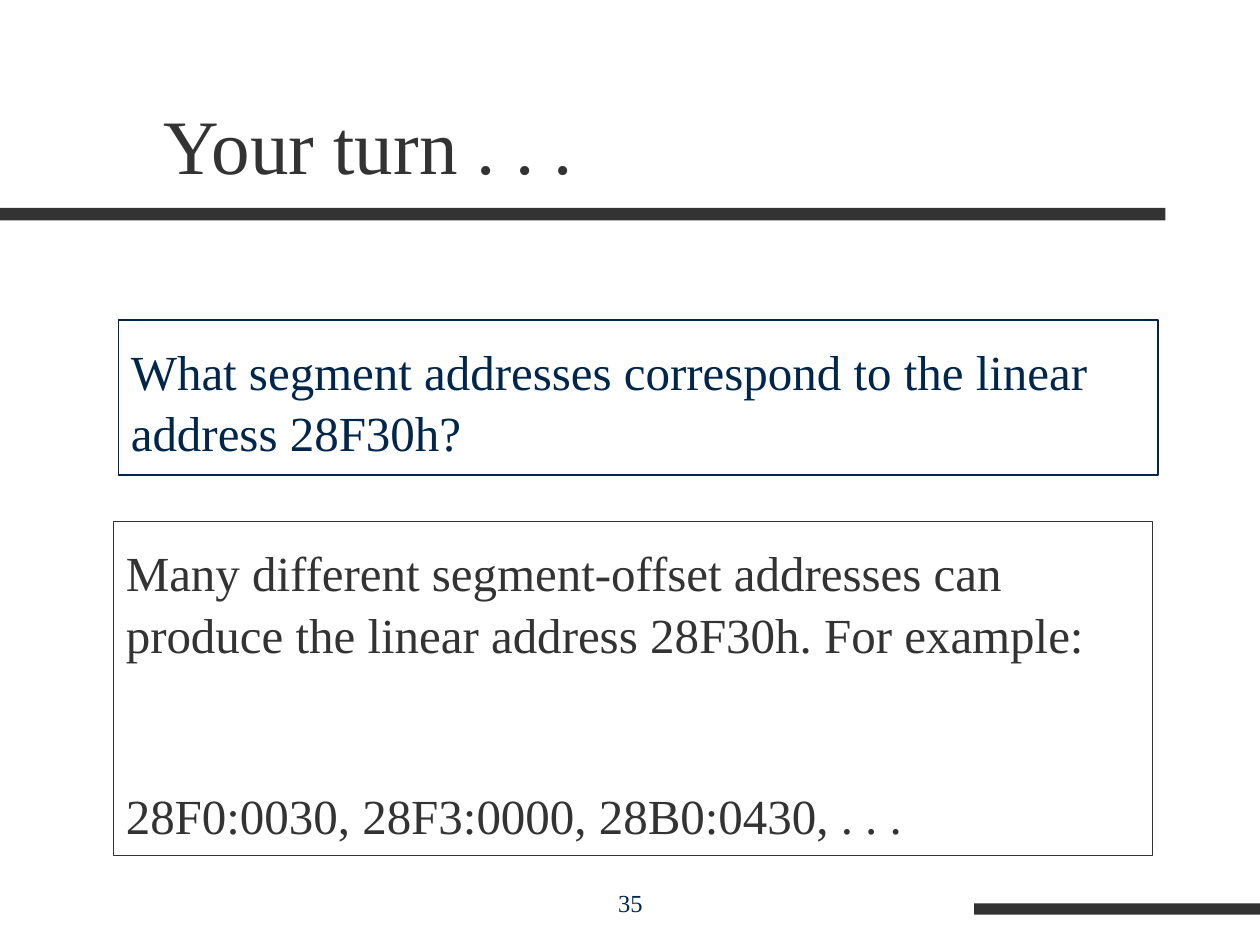
"""Build the segment address question slide."""
from dataclasses import dataclass

from pptx import Presentation
from pptx import util as u
from pptx.dml.color import RGBColor
from pptx.enum import shapes, text

CHARCOAL = RGBColor(0x33, 0x33, 0x33)
NAVY = RGBColor(0x00, 0x26, 0x4C)
FONT = "Times New Roman"


@dataclass
class Area:
    left: float
    top: float
    width: float
    height: float

    def lengths(self) -> list[u.Pt]:
        return [u.Pt(n) for n in (self.left, self.top, self.width, self.height)]


@dataclass
class Panel:
    area: Area
    color: RGBColor
    lines: list[str]
    later_gap: float = 0


BARS = [Area(0, 118.8, 666, 7.2), Area(556.6, 516.2, 163.4, 6.5)]
TITLE = Area(86.4, 22.3, 612, 90)
NUMBER = Area(246.2, 491.8, 228.2, 36)
PANELS = [
    Panel(Area(67.7, 182.9, 594, 88.6), NAVY,
          ["What segment addresses correspond to the linear address 28F30h?"]),
    Panel(Area(64.8, 298.1, 594, 190.8), CHARCOAL,
          ["Many different segment-offset addresses can produce the linear "
           "address 28F30h. For example:",
           "28F0:0030, 28F3:0000, 28B0:0430, . . ."], later_gap=68.5),
]


def set_values(target, values: dict) -> None:
    for name, value in values.items():
        setattr(target, name, value)


def write(box, lines: list[str], size: float, color: RGBColor, align,
          anchor, inset: float = 3.6, later_gap: float = 0,
          spacing: float = 1) -> None:
    frame = box.text_frame
    set_values(frame, {
        "word_wrap": True, "auto_size": text.MSO_AUTO_SIZE.NONE,
        "vertical_anchor": anchor,
        "margin_left": u.Pt(7.2), "margin_right": u.Pt(7.2),
        "margin_top": u.Pt(inset), "margin_bottom": u.Pt(inset)})
    for index, line in enumerate(lines):
        para = frame.add_paragraph() if index else frame.paragraphs[0]
        set_values(para, {
            "alignment": align, "line_spacing": spacing,
            "space_before": u.Pt(later_gap if index else 0)})
        span = para.add_run()
        span.text = line
        set_values(span.font, {"name": FONT, "size": u.Pt(size)})
        span.font.color.rgb = color


def add_rectangle(page, area: Area):
    box = page.shapes.add_shape(shapes.MSO_SHAPE.RECTANGLE, *area.lengths())
    box.shadow.inherit = False
    return box


def add_bar(page, area: Area) -> None:
    bar = add_rectangle(page, area)
    bar.fill.solid()
    bar.fill.fore_color.rgb = CHARCOAL
    bar.line.fill.background()


def add_panel(page, panel: Panel) -> None:
    box = add_rectangle(page, panel.area)
    box.fill.background()
    box.line.color.rgb = panel.color
    box.line.width = u.Pt(0.75)
    write(box, panel.lines, 28, panel.color, text.PP_ALIGN.LEFT,
          text.MSO_ANCHOR.TOP, 10.8, panel.later_gap, 1.04)


def main() -> None:
    deck = Presentation()
    set_values(deck, {"slide_width": u.Pt(720), "slide_height": u.Pt(540)})
    page = deck.slides.add_slide(deck.slide_layouts.get_by_name("Title Only"))
    for bar in BARS:
        add_bar(page, bar)
    number = page.shapes.add_textbox(*NUMBER.lengths())
    write(number, ["35"], 14, NAVY, text.PP_ALIGN.CENTER,
          text.MSO_ANCHOR.BOTTOM)
    title = page.shapes.title
    set_values(title, dict(zip(("left", "top", "width", "height"),
                               TITLE.lengths())))
    write(title, ["Your turn . . ."], 44, CHARCOAL, text.PP_ALIGN.LEFT,
          text.MSO_ANCHOR.BOTTOM)
    for panel in PANELS:
        add_panel(page, panel)
    deck.save("out.pptx")


if __name__ == "__main__":
    main()
